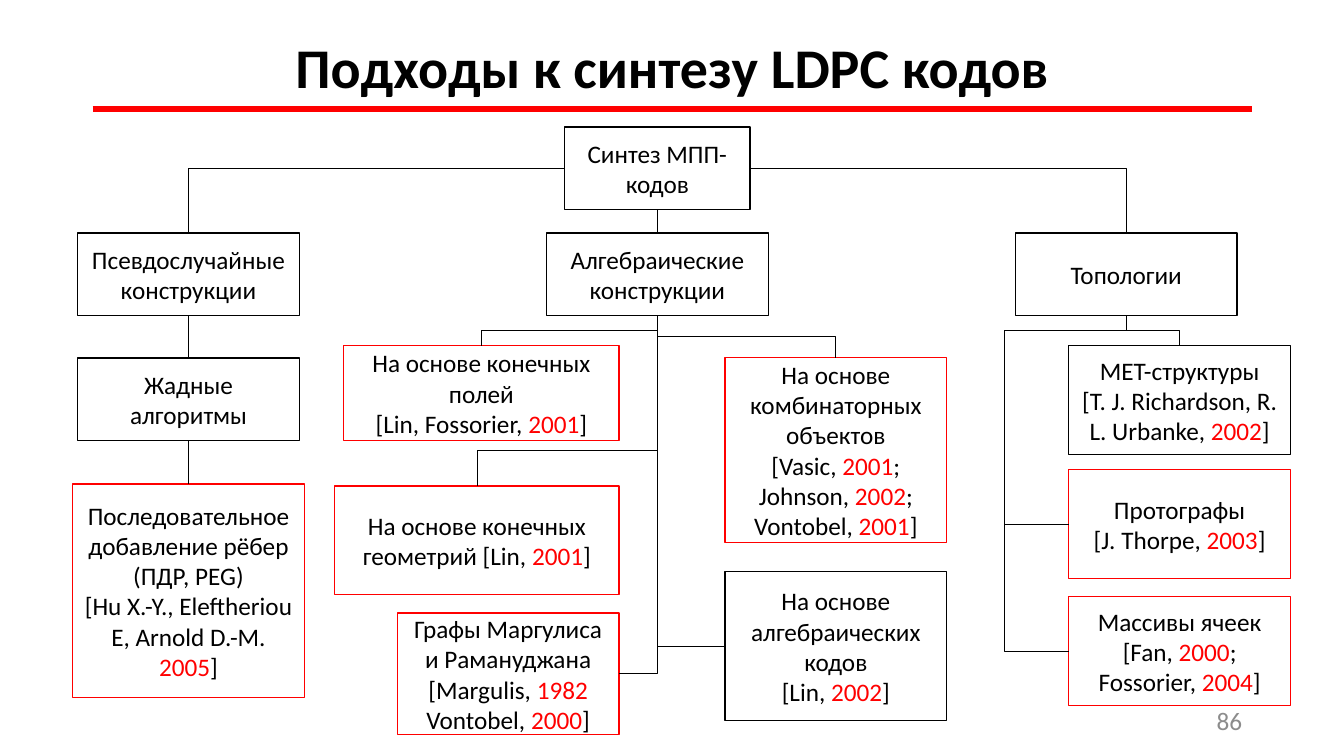
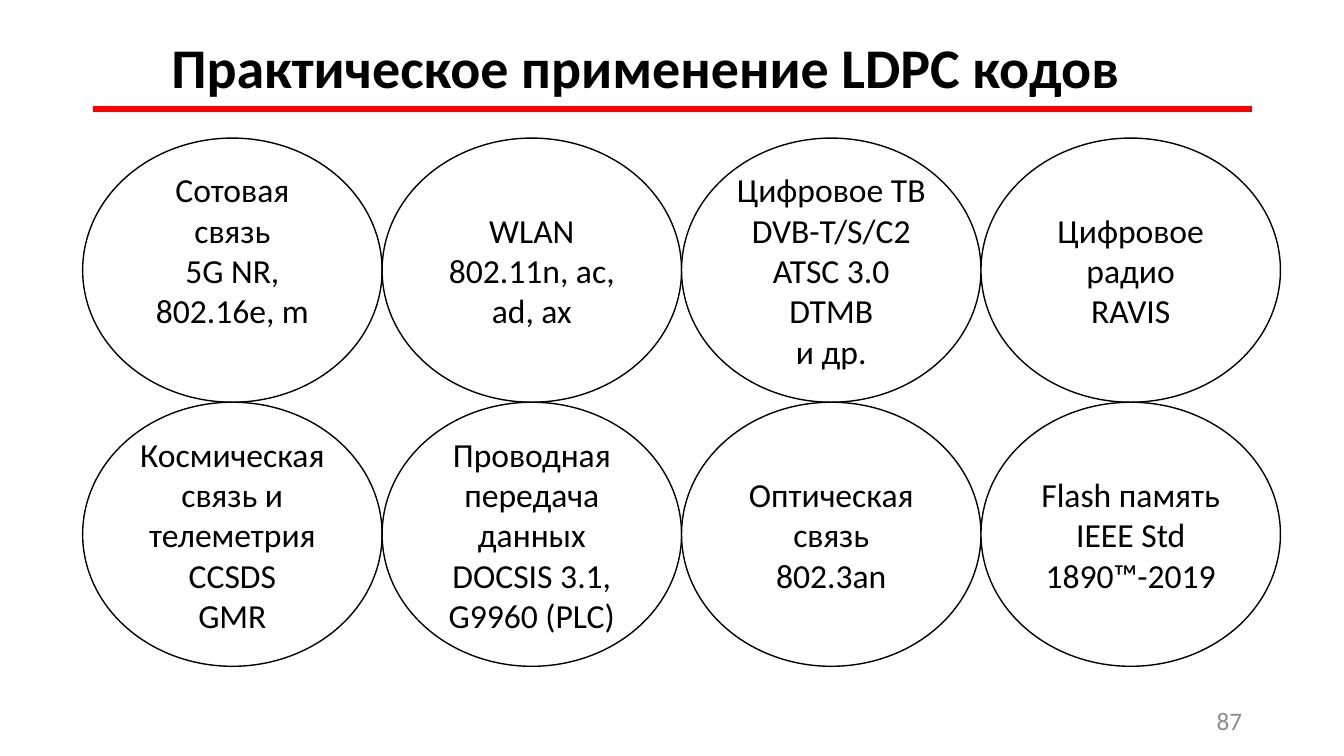
"""Build two slides on the synthesis and the practical use of LDPC codes."""
import pptx
import pptx.dml.color
import pptx.enum.shapes
import pptx.enum.text
import pptx.oxml.ns
import pptx.util
from lxml import etree

Inches = pptx.util.Inches
qn = pptx.oxml.ns.qn
ALIGN = pptx.enum.text.PP_ALIGN
ANCHOR = pptx.enum.text.MSO_ANCHOR
SHAPE = pptx.enum.shapes.MSO_SHAPE
CONNECTOR = pptx.enum.shapes.MSO_CONNECTOR
FONT, BLACK, RED, WHITE, GREY = "Calibri", "000000", "FF0000", "FFFFFF", "8C8C8C"
TOP, LEFT, BOTTOM, RIGHT = range(4)


def color(target, value):
    target.rgb = pptx.dml.color.RGBColor.from_string(value)


def write(text_frame, text, size, align=ALIGN.CENTER, anchor=ANCHOR.MIDDLE, ink=BLACK, bold=False):
    text_frame.word_wrap = True
    text_frame.auto_size = pptx.enum.text.MSO_AUTO_SIZE.NONE
    text_frame.vertical_anchor = anchor
    for index, line in enumerate(text.split("\n")):
        paragraph = text_frame.add_paragraph() if index else text_frame.paragraphs[0]
        paragraph.alignment = align
        for part, words in enumerate(line.split("|")):
            if words:
                run = paragraph.add_run()
                run.text = words
                run.font.name = FONT
                run.font.size = pptx.util.Pt(size)
                run.font.bold = bold
                color(run.font.color, RED if part % 2 else ink)


presentation = pptx.Presentation()
presentation.slide_width = Inches(13.33)
presentation.slide_height = Inches(7.5)

slides = []
for heading, title_width, number in [
    ("Подходы к синтезу LDPC кодов", 13.33, "86"),
    ("Практическое применение LDPC кодов", 12.8, "87"),
]:
    slide = presentation.slides.add_slide(presentation.slide_layouts[5])
    title = slide.shapes.title
    title.left, title.top = Inches(0), Inches(0.35)
    title.width, title.height = Inches(title_width), Inches(0.82)
    write(title.text_frame, heading, 40, anchor=ANCHOR.TOP, bold=True)
    title.text_frame.paragraphs[0].line_spacing = 0.9
    page = slide.shapes.add_textbox(Inches(9.42), Inches(6.95), Inches(3), Inches(0.4))
    write(page.text_frame, number, 18, align=ALIGN.RIGHT, ink=GREY)
    rule = slide.shapes.add_connector(
        CONNECTOR.STRAIGHT, Inches(0.92), Inches(1.08), Inches(12.42), Inches(1.08))
    color(rule.line.color, RED)
    rule.line.width = pptx.util.Pt(4)
    etree.SubElement(rule.element.spPr, qn("a:effectLst"))
    slides.append(slide)
tree_slide, usage_slide = slides

boxes = {
    "root": (5.6, 1.26, 1.84, 0.82, BLACK, "Синтез МПП-кодов"),
    "random": (0.77, 2.31, 2.2, 0.82, BLACK, "Псевдослучайные конструкции"),
    "greedy": (0.77, 3.55, 2.2, 0.82, BLACK, "Жадные алгоритмы"),
    "edges": (0.72, 4.8, 2.3, 2.12, RED,
              "Последовательное добавление рёбер (ПДР, PEG)\n"
              "[Hu X.-Y., Eleftheriou E, Arnold D.-M. |2005|]"),
    "algebra": (5.42, 2.31, 2.2, 0.82, BLACK, "Алгебраические конструкции"),
    "topology": (10.07, 2.31, 2.2, 0.82, BLACK, "Топологии"),
    "fields": (3.41, 3.43, 2.73, 0.94, RED,
               "На основе конечных полей\n[Lin, Fossorier, |2001|]"),
    "geometry": (3.32, 4.82, 2.82, 1.08, RED,
                 "На основе конечных геометрий [Lin, |2001|]"),
    "combinatorics": (7.19, 3.55, 2.2, 1.83, RED,
                      "На основе комбинаторных объектов\n[Vasic, |2001|;\n"
                      "Johnson, |2002|;\nVontobel, |2001|]"),
    "graphs": (3.94, 6.08, 2.2, 1.21, RED,
               "Графы Маргулиса и Рамануджана\n[Margulis, |1982|\nVontobel, |2000|]"),
    "codes": (7.19, 5.67, 2.2, 1.48, BLACK,
              "На основе алгебраических кодов\n[Lin, |2002|]"),
    "met": (10.6, 3.43, 2.2, 1.08, BLACK,
            "MET-структуры\n[T. J. Richardson, R. L. Urbanke, |2002|]"),
    "protographs": (10.6, 4.66, 2.2, 1.08, RED, "Протографы\n[J. Thorpe, |2003|]"),
    "arrays": (10.6, 5.92, 2.2, 1.08, RED,
               "Массивы ячеек\n[Fan, |2000|; Fossorier, |2004|]"),
}
usages = [
    "Сотовая связь\n5G NR, 802.16e, m",
    "WLAN\n802.11n, ac, ad, ax",
    "Цифровое ТВ\nDVB-T/S/C2\nATSC 3.0\nDTMB\nи др.",
    "Цифровое радио\nRAVIS",
    "Космическая связь и телеметрия\nCCSDS\nGMR",
    "Проводная передача данных\nDOCSIS 3.1, G9960 (PLC)",
    "Оптическая связь\n802.3an",
    "Flash память\nIEEE Std 1890™-2019",
]
figures = [(tree_slide, SHAPE.RECTANGLE, 18, *box) for box in boxes.values()]
for index, text in enumerate(usages):
    row, column = divmod(index, 4)
    figures.append((usage_slide, SHAPE.OVAL, 24, 0.82 + 2.97 * column, 1.37 + 2.62 * row,
                    2.97, 2.62, BLACK, text))

drawn = []
for slide, kind, size, left, top, width, height, outline, text in figures:
    shape = slide.shapes.add_shape(kind, Inches(left), Inches(top), Inches(width), Inches(height))
    shape.shadow.inherit = False
    shape.fill.solid()
    color(shape.fill.fore_color, WHITE)
    color(shape.line.color, outline)
    shape.line.width = pptx.util.Pt(1)
    write(shape.text_frame, text, size)
    drawn.append(shape)
nodes = dict(zip(boxes, drawn))
cellular = drawn[len(boxes)]
cellular.text_frame.margin_bottom = Inches(0.45)

links = [
    ("root", BOTTOM, "algebra", TOP, "line", []),
    ("root", LEFT, "random", TOP, "bentConnector2", []),
    ("root", RIGHT, "topology", TOP, "bentConnector2", []),
    ("random", BOTTOM, "greedy", TOP, "line", []),
    ("greedy", BOTTOM, "edges", TOP, "line", []),
    ("algebra", BOTTOM, "fields", TOP, "bentConnector3", [0.15]),
    ("algebra", BOTTOM, "combinatorics", TOP, "bentConnector3", [0.21]),
    ("algebra", BOTTOM, "geometry", TOP, "bentConnector3", [1.34]),
    ("algebra", BOTTOM, "graphs", RIGHT, "bentConnector2", []),
    ("algebra", BOTTOM, "codes", LEFT, "bentConnector2", []),
    ("topology", BOTTOM, "met", TOP, "bentConnector3", [0.15]),
    ("topology", BOTTOM, "protographs", LEFT, "bentConnector4", [0.15, 1.21]),
    ("topology", BOTTOM, "arrays", LEFT, "bentConnector4", [0.15, 1.21]),
]
for parent, start, child, end, preset, bends in links:
    kind = CONNECTOR.STRAIGHT if preset == "line" else CONNECTOR.ELBOW
    connector = tree_slide.shapes.add_connector(kind, 0, 0, 0, 0)
    connector.begin_connect(nodes[parent], start)
    connector.end_connect(nodes[child], end)
    color(connector.line.color, BLACK)
    connector.line.width = pptx.util.Pt(0.5)
    properties = connector.element.spPr
    etree.SubElement(properties, qn("a:effectLst"))
    geometry = properties.find(qn("a:prstGeom"))
    geometry.set("prst", preset)
    if preset != "line" and start == BOTTOM:
        across = connector.end_x - connector.begin_x
        down = connector.end_y - connector.begin_y
        middle_x = (connector.begin_x + connector.end_x) // 2
        middle_y = (connector.begin_y + connector.end_y) // 2
        connector.left, connector.top = middle_x - down // 2, middle_y - abs(across) // 2
        connector.width, connector.height = down, abs(across)
        transform = properties.find(qn("a:xfrm"))
        transform.set("rot", "16200000" if across > 0 else "5400000")
        transform.set("flipH", "1" if across > 0 else "0")
        transform.set("flipV", "0")
        guides = geometry.find(qn("a:avLst"))
        for index, (bend, span) in enumerate(zip(bends, (down, abs(across))), 1):
            share = round(Inches(bend) / span * 100000)
            etree.SubElement(guides, qn("a:gd"), name=f"adj{index}", fmla=f"val {share}")

presentation.save("out.pptx")
